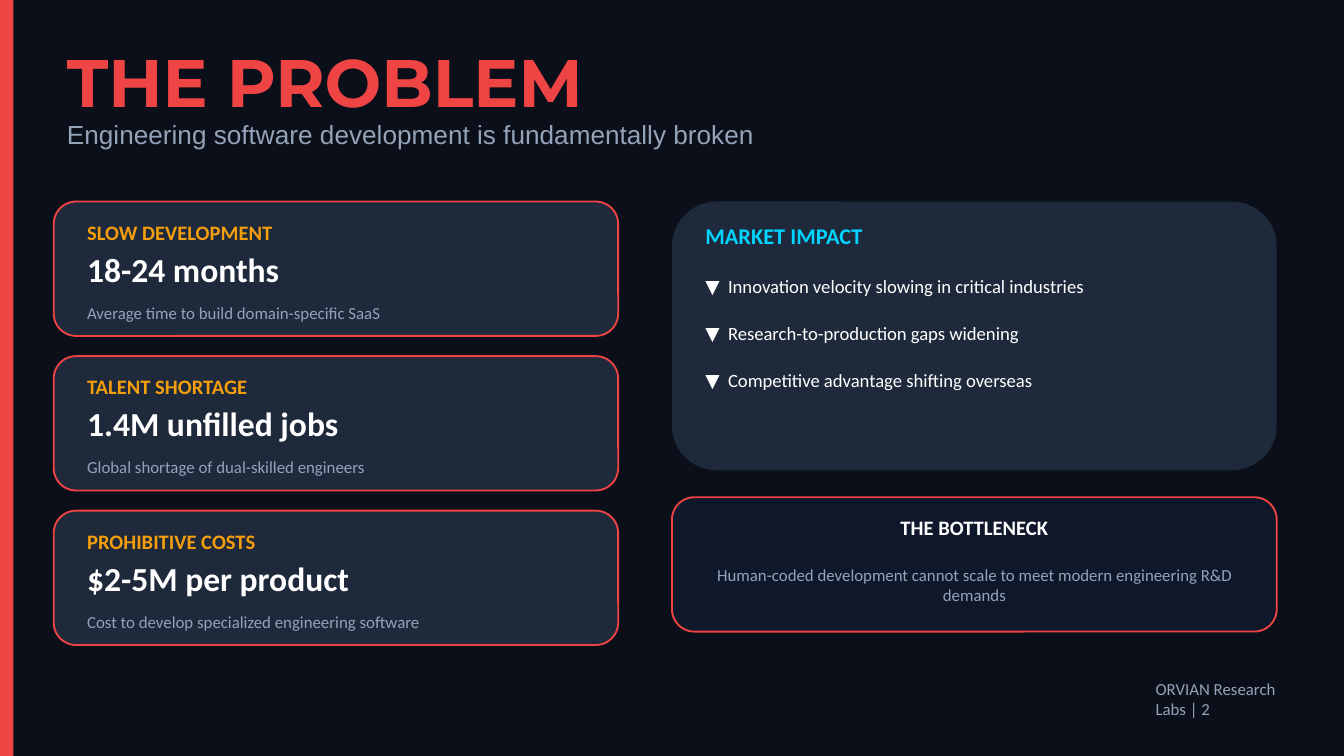
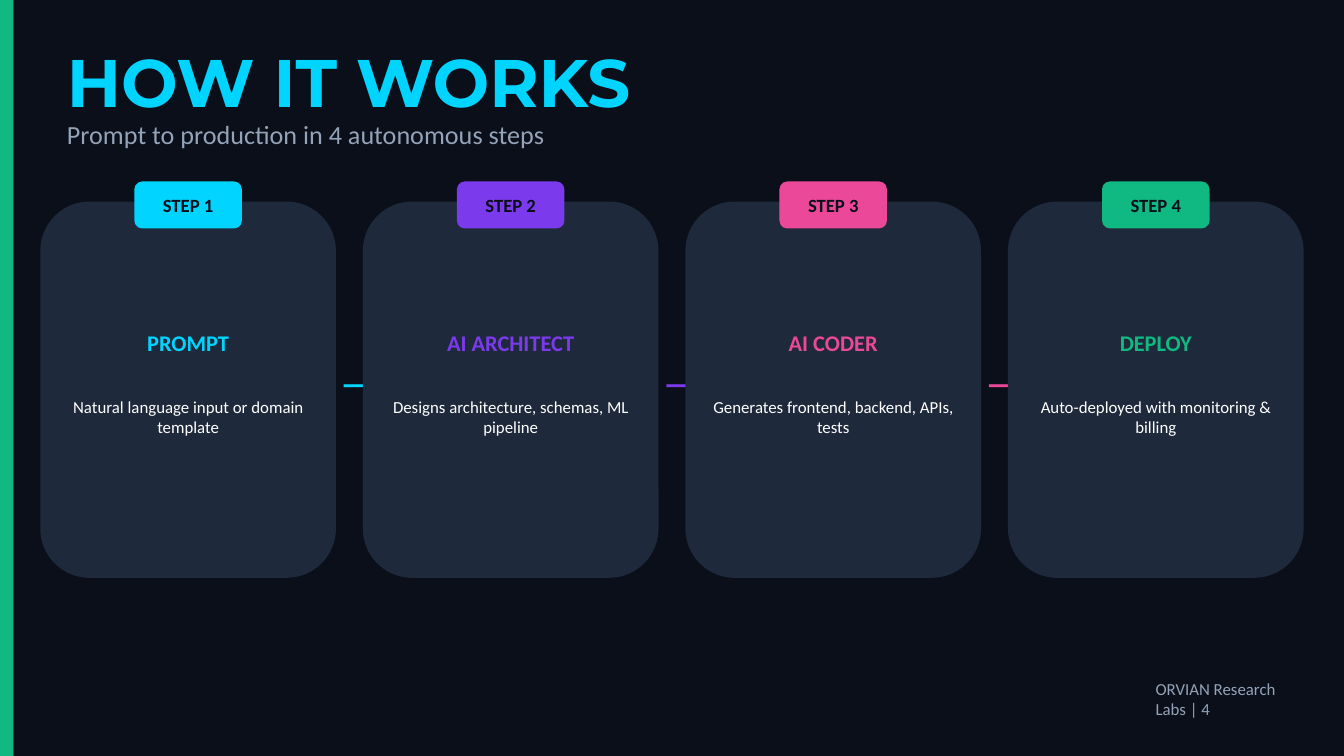
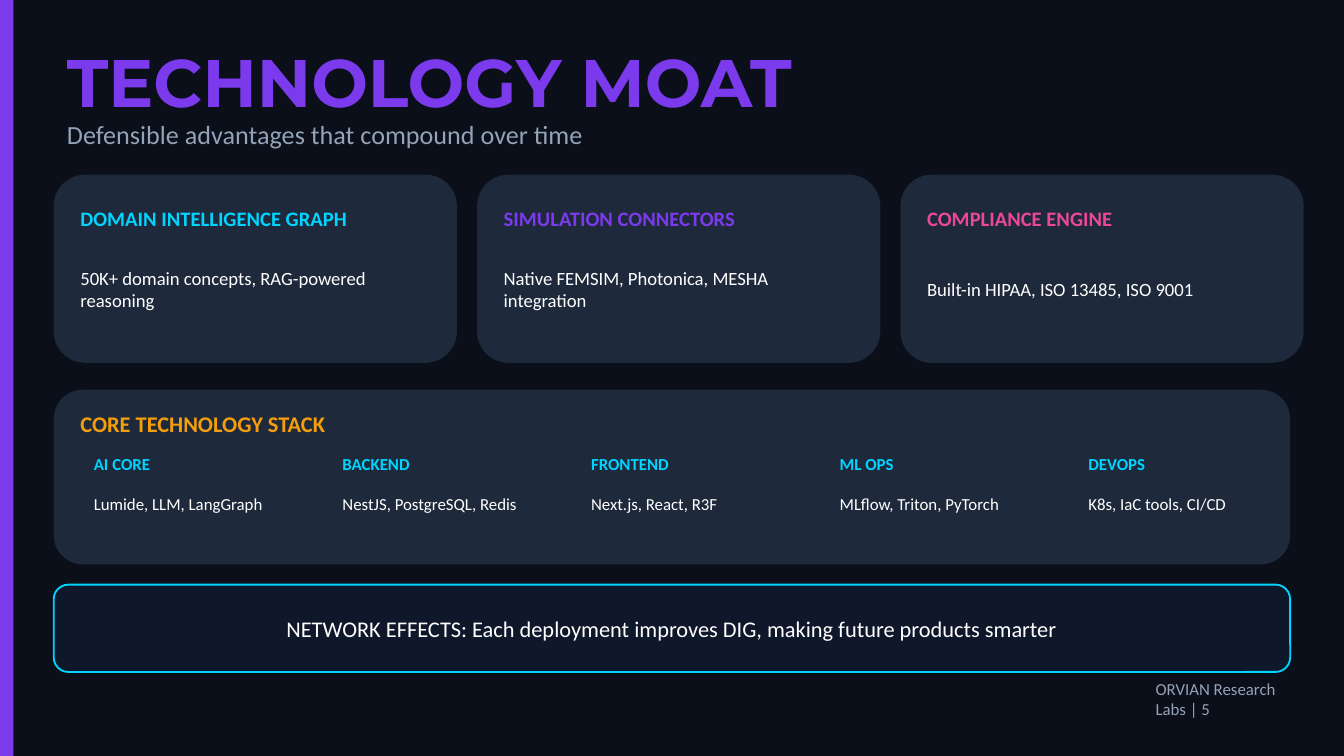
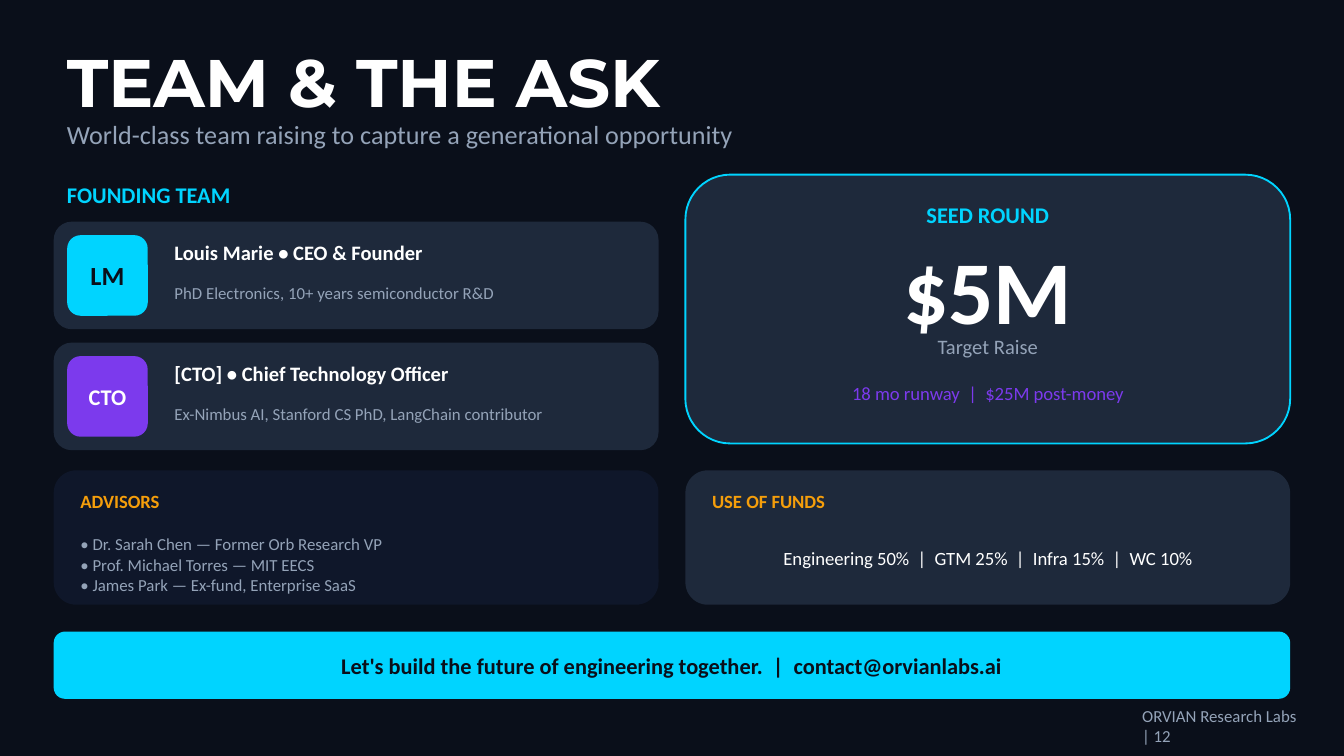
from pptx import Presentation
from pptx.dml.color import RGBColor
from pptx.enum.shapes import MSO_SHAPE
from pptx.enum.text import MSO_ANCHOR, PP_ALIGN
from pptx.util import Inches, Pt

WIDE = 10
HIGH = WIDE * 9 / 16

NIGHT = RGBColor(0x0A, 0x0F, 0x1A)
NAVY = RGBColor(0x0F, 0x17, 0x2A)
SLATE = RGBColor(0x1E, 0x29, 0x3B)
GRAY = RGBColor(0x94, 0xA3, 0xB8)
WHITE = RGBColor(0xFF, 0xFF, 0xFF)
RED = RGBColor(0xEF, 0x44, 0x44)
AMBER = RGBColor(0xF5, 0x9E, 0x0B)
CYAN = RGBColor(0x00, 0xD4, 0xFF)
VIOLET = RGBColor(0x7C, 0x3A, 0xED)
PINK = RGBColor(0xEC, 0x48, 0x99)
GREEN = RGBColor(0x10, 0xB9, 0x81)

BODY = "Calibri"
HEAD = "Montserrat"
MID = PP_ALIGN.CENTER


def card(slide, x, y, w, h, fill, line=None, kind=MSO_SHAPE.ROUNDED_RECTANGLE):
    shape = slide.shapes.add_shape(kind, Inches(x), Inches(y), Inches(w), Inches(h))
    shape.shadow.inherit = False
    shape.fill.solid()
    shape.fill.fore_color.rgb = fill
    if line is None:
        shape.line.fill.background()
    else:
        shape.line.color.rgb = line
        shape.line.width = Pt(1)


def write(slide, x, y, w, h, words, size, color, bold=False, align=None, font=BODY):
    """Add a text box with one paragraph for each line of words."""
    box = slide.shapes.add_textbox(Inches(x), Inches(y), Inches(w), Inches(h))
    frame = box.text_frame
    frame.word_wrap = True
    frame.vertical_anchor = MSO_ANCHOR.MIDDLE
    for i, line in enumerate(words.split("\n")):
        para = frame.add_paragraph() if i else frame.paragraphs[0]
        para.alignment = align
        run = para.add_run()
        run.text = line
        run.font.name = font
        run.font.size = Pt(size)
        run.font.bold = bold
        run.font.color.rgb = color


deck = Presentation()
deck.slide_width = Inches(WIDE)
deck.slide_height = Inches(HIGH)

# Shared frame: background, side band, title, subtitle, footer
frames = [
    ("THE PROBLEM", RED, RED, "Engineering software development is fundamentally broken",
     "Arial", 2, (8.5, 5.1, 1.3)),
    ("HOW IT WORKS", CYAN, GREEN, "Prompt to production in 4 autonomous steps",
     BODY, 4, (8.5, 5.1, 1.3)),
    ("TECHNOLOGY MOAT", VIOLET, VIOLET, "Defensible advantages that compound over time",
     BODY, 5, (8.5, 5.1, 1.3)),
    ("TEAM & THE ASK", WHITE, None,
     "World-class team raising to capture a generational opportunity",
     BODY, 12, (8.4, 5.3, 1.4)),
]
slides = []
for title, color, band, sub, font, page, foot in frames:
    slide = deck.slides.add_slide(deck.slide_layouts[6])
    slide.background.fill.solid()
    slide.background.fill.fore_color.rgb = NIGHT
    if band is not None:
        card(slide, 0, 0, 0.1, HIGH, band, kind=MSO_SHAPE.RECTANGLE)
    write(slide, 0.4, 0.3, 9, 0.6, title, 36, color, True, font=HEAD)
    write(slide, 0.4, 0.85, 9, 0.3, sub, 14, GRAY, font=font)
    write(slide, *foot, 0.2, f"ORVIAN Research Labs | {page}", 9, GRAY)
    slides.append(slide)
problem, steps, moat, team = slides

# The problem
pains = [
    ("SLOW DEVELOPMENT", "18-24 months", "Average time to build domain-specific SaaS"),
    ("TALENT SHORTAGE", "1.4M unfilled jobs", "Global shortage of dual-skilled engineers"),
    ("PROHIBITIVE COSTS", "$2-5M per product",
     "Cost to develop specialized engineering software"),
]
for i, (name, figure, note) in enumerate(pains):
    y = 1.5 + i * 1.15
    card(problem, 0.4, y, 4.2, 1, SLATE, RED)
    write(problem, 0.55, y + 0.1, 4, 0.25, name, 11, AMBER, True)
    write(problem, 0.55, y + 0.35, 4, 0.3, figure, 18, WHITE, True)
    write(problem, 0.55, y + 0.7, 4, 0.25, note, 9, GRAY)

card(problem, 5, 1.5, 4.5, 2, SLATE)
write(problem, 5.15, 1.6, 4, 0.3, "MARKET IMPACT", 12, CYAN, True)
impacts = [
    "Innovation velocity slowing in critical industries",
    "Research-to-production gaps widening",
    "Competitive advantage shifting overseas",
]
for i, impact in enumerate(impacts):
    write(problem, 5.15, 2 + i * 0.35, 4.2, 0.25, f"▼  {impact}", 10, WHITE)

card(problem, 5, 3.7, 4.5, 1, NAVY, RED)
write(problem, 5.15, 3.8, 4.2, 0.25, "THE BOTTLENECK", 11, WHITE, True, MID)
write(problem, 5.15, 4.1, 4.2, 0.5,
      "Human-coded development cannot scale to meet modern engineering R&D demands",
      9, GRAY, align=MID)

# How it works: each arrow runs under the next card
stages = [
    ("PROMPT", CYAN, "Natural language input or domain template"),
    ("AI ARCHITECT", VIOLET, "Designs architecture, schemas, ML pipeline"),
    ("AI CODER", PINK, "Generates frontend, backend, APIs, tests"),
    ("DEPLOY", GREEN, "Auto-deployed with monitoring & billing"),
]
for i, (name, color, note) in enumerate(stages):
    x = 0.3 + i * 2.4
    card(steps, x, 1.5, 2.2, 2.8, SLATE)
    card(steps, x + 0.7, 1.35, 0.8, 0.35, color)
    write(steps, x + 0.7, 1.35, 0.8, 0.35, f"STEP {i + 1}", 10, NIGHT, True, MID)
    write(steps, x + 0.1, 2.4, 2, 0.3, name, 12, color, True, MID)
    write(steps, x + 0.1, 2.8, 2, 0.6, note, 9, WHITE, align=MID)
    if i < len(stages) - 1:
        write(steps, x + 2.15, 2.7, 0.3, 0.3, "→", 20, color)

# Technology moat
edges = [
    ("DOMAIN INTELLIGENCE GRAPH", CYAN, "50K+ domain concepts, RAG-powered reasoning"),
    ("SIMULATION CONNECTORS", VIOLET, "Native FEMSIM, Photonica, MESHA integration"),
    ("COMPLIANCE ENGINE", PINK, "Built-in HIPAA, ISO 13485, ISO 9001"),
]
for i, (name, color, note) in enumerate(edges):
    x = 0.4 + i * 3.15
    card(moat, x, 1.3, 3, 1.4, SLATE)
    write(moat, x + 0.1, 1.45, 2.8, 0.35, name, 11, color, True)
    write(moat, x + 0.1, 1.85, 2.8, 0.6, note, 10, WHITE)

card(moat, 0.4, 2.9, 9.2, 1.3, SLATE)
write(moat, 0.5, 3, 9, 0.3, "CORE TECHNOLOGY STACK", 12, AMBER, True)
stack = [
    ("AI CORE", "Lumide, LLM, LangGraph"),
    ("BACKEND", "NestJS, PostgreSQL, Redis"),
    ("FRONTEND", "Next.js, React, R3F"),
    ("ML OPS", "MLflow, Triton, PyTorch"),
    ("DEVOPS", "K8s, IaC tools, CI/CD"),
]
for i, (name, tools) in enumerate(stack):
    x = 0.6 + i * 1.85
    write(moat, x, 3.35, 1.7, 0.2, name, 9, CYAN, True)
    write(moat, x, 3.55, 1.7, 0.4, tools, 9, WHITE)

card(moat, 0.4, 4.35, 9.2, 0.65, NAVY, CYAN)
write(moat, 0.5, 4.45, 9, 0.45,
      "NETWORK EFFECTS: Each deployment improves DIG, making future products smarter",
      12, WHITE, align=MID)

# Team
write(team, 0.4, 1.3, 4, 0.3, "FOUNDING TEAM", 12, CYAN, True)
people = [
    ("LM", 14, NIGHT, CYAN, "Louis Marie • CEO & Founder",
     "PhD Electronics, 10+ years semiconductor R&D"),
    ("CTO", 12, WHITE, VIOLET, "[CTO] • Chief Technology Officer",
     "Ex-Nimbus AI, Stanford CS PhD, LangChain contributor"),
]
for i, (mark, size, ink, fill, role, past) in enumerate(people):
    y = 1.65 + i * 0.9
    card(team, 0.4, y, 4.5, 0.8, SLATE)
    card(team, 0.5, y + 0.1, 0.6, 0.6, fill)
    write(team, 0.5, y + 0.25, 0.6, 0.3, mark, size, ink, True, MID)
    write(team, 1.2, y + 0.1, 3.5, 0.25, role, 11, WHITE, True)
    write(team, 1.2, y + 0.35, 3.5, 0.35, past, 9, GRAY)

card(team, 0.4, 3.5, 4.5, 1, NAVY)
write(team, 0.5, 3.6, 4.3, 0.25, "ADVISORS", 10, AMBER, True)
write(team, 0.5, 3.9, 4.3, 0.6,
      "• Dr. Sarah Chen — Former Orb Research VP\n"
      "• Prof. Michael Torres — MIT EECS\n"
      "• James Park — Ex-fund, Enterprise SaaS", 9, GRAY)

# The ask
card(team, 5.1, 1.3, 4.5, 2, SLATE, CYAN)
ask = [
    (1.45, 0.3, "SEED ROUND", 12, CYAN, True),
    (1.8, 0.7, "$5M", 48, WHITE, True),
    (2.45, 0.25, "Target Raise", 11, GRAY, False),
    (2.8, 0.25, "18 mo runway  |  $25M post-money", 10, VIOLET, False),
]
for y, h, words, size, color, bold in ask:
    write(team, 5.2, y, 4.3, h, words, size, color, bold, MID)

card(team, 5.1, 3.5, 4.5, 1, SLATE)
write(team, 5.2, 3.6, 4.3, 0.25, "USE OF FUNDS", 10, AMBER, True)
write(team, 5.2, 3.9, 4.3, 0.5,
      "Engineering 50%  |  GTM 25%  |  Infra 15%  |  WC 10%", 10, WHITE, align=MID)

card(team, 0.4, 4.7, 9.2, 0.5, CYAN)
write(team, 0.5, 4.78, 9, 0.35,
      "Let's build the future of engineering together.  |  contact@orvianlabs.ai",
      12, NIGHT, True, MID)

deck.save("out.pptx")
